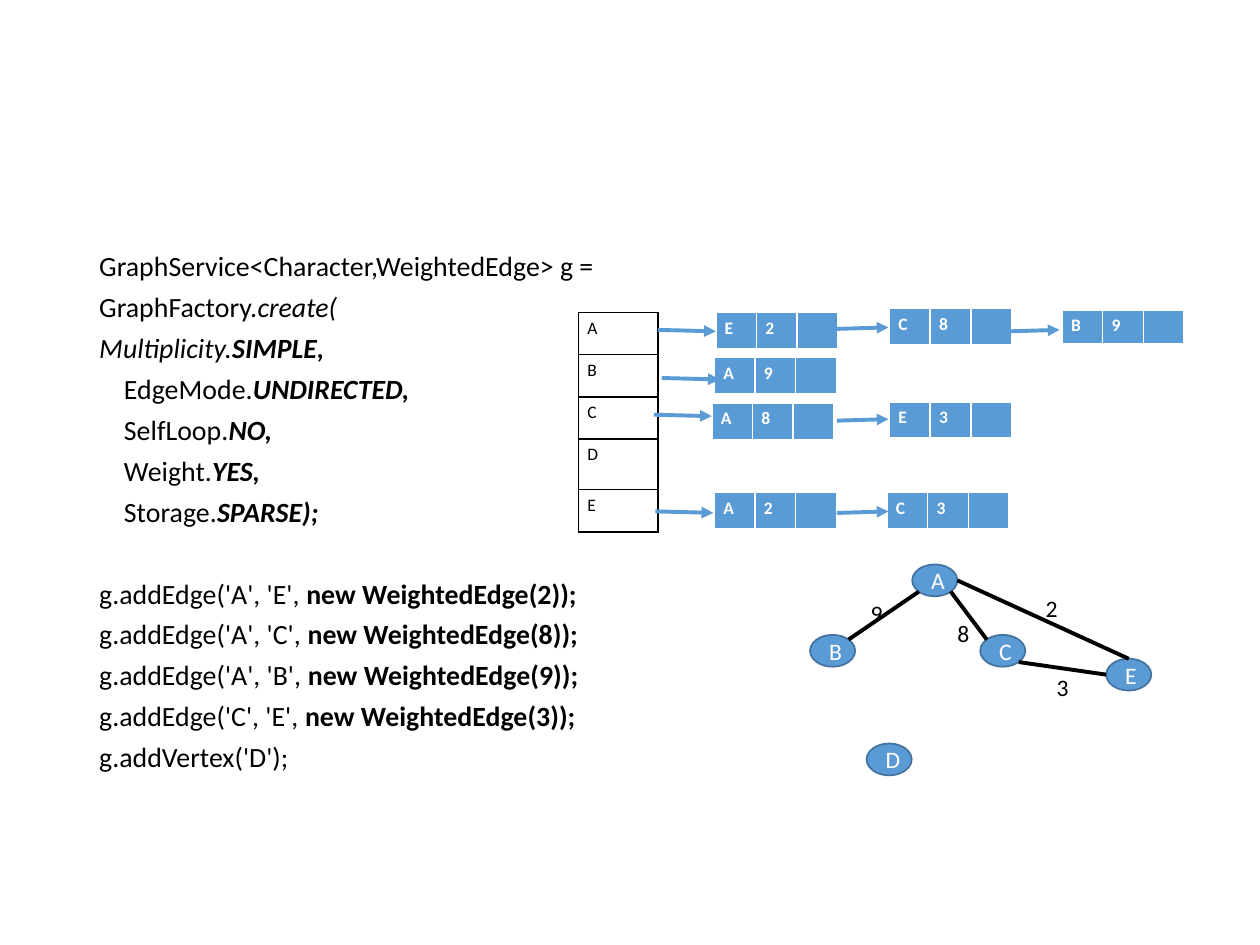
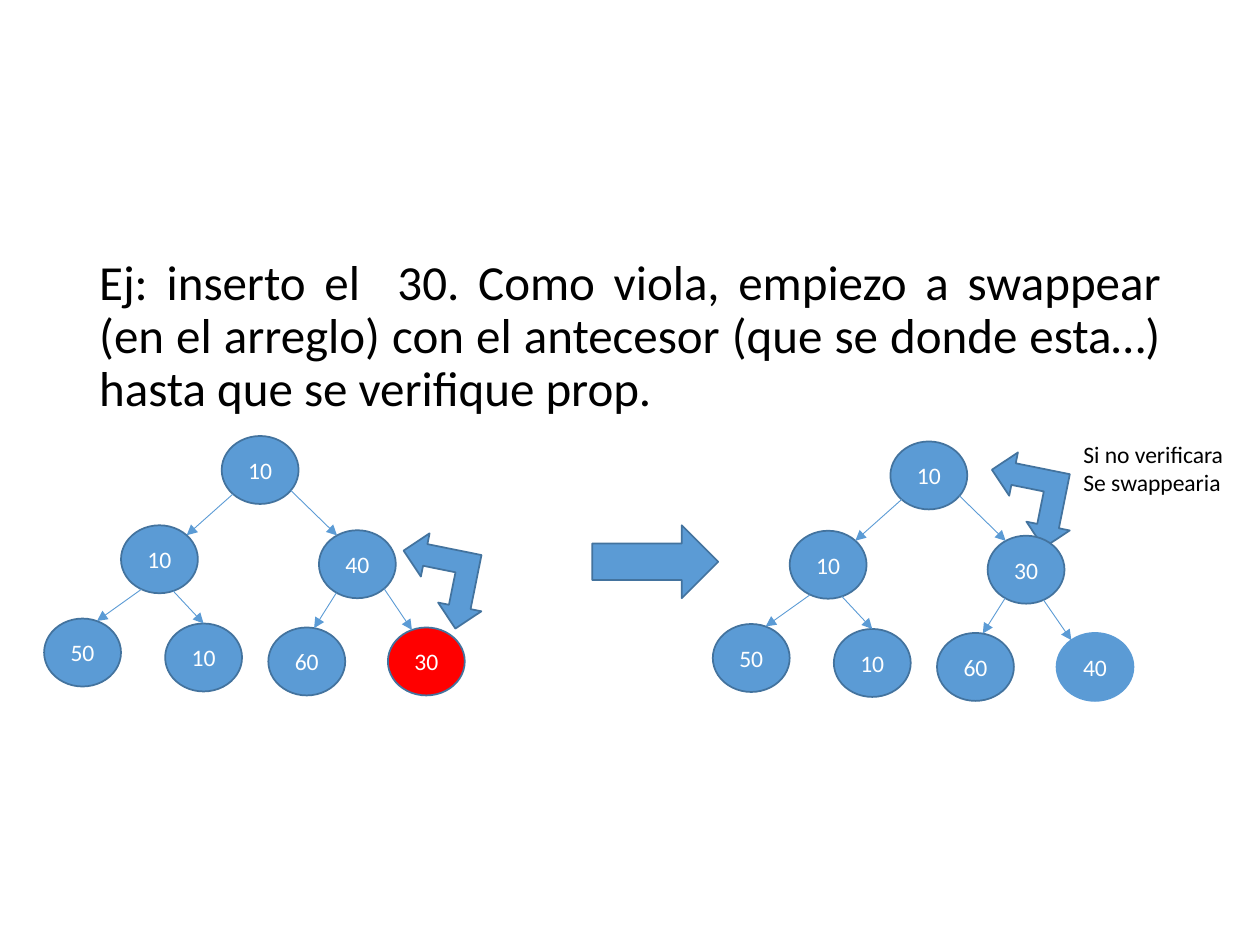
from collections import namedtuple
from math import cos, radians, sin

from lxml import etree
from pptx import Presentation
from pptx.dml.color import RGBColor
from pptx.enum.shapes import MSO_CONNECTOR, MSO_SHAPE
from pptx.enum.text import MSO_ANCHOR, MSO_AUTO_SIZE, PP_ALIGN
from pptx.oxml.ns import qn
from pptx.util import Cm, Pt

STRAIGHT = MSO_CONNECTOR.STRAIGHT
ELLIPSE = MSO_SHAPE.OVAL
RIGHT_ARROW = MSO_SHAPE.RIGHT_ARROW
SWAP_ARROW = MSO_SHAPE.LEFT_UP_ARROW
TOP, MIDDLE = MSO_ANCHOR.TOP, MSO_ANCHOR.MIDDLE
CENTER, JUSTIFY = PP_ALIGN.CENTER, PP_ALIGN.JUSTIFY
GROW, FIXED = MSO_AUTO_SIZE.SHAPE_TO_FIT_TEXT, MSO_AUTO_SIZE.NONE

COLORS = {"blue": "5B9BD5", "outline": "43739E", "red": "FF0000",
          "black": "000000", "white": "FFFFFF"}
FONT = "Calibri"
LABEL_SIZE = 13.5
CELL_SIZE = 10

Box = namedtuple("Box", "left top width height")
BODY = Box(1.75, 5.08, 21.9, 12.09)

# Each line: indent, space before, then (text, bold, italic) spans
CODE = [
    (0, 10, [("GraphService<Character,WeightedEdge> g =", False, False)]),
    (0, 10, [("GraphFactory.", False, False), ("create(", False, True)]),
    (0, 10, [("Multiplicity.", False, True), ("SIMPLE,", True, True)]),
] + [
    (0.5, 10, [(option + ".", False, False), (value, True, True)])
    for option, value in [("EdgeMode", "UNDIRECTED,"), ("SelfLoop", "NO,"),
                          ("Weight", "YES,"), ("Storage", "SPARSE);")]
] + [
    (0, 33.5 if ends == "AE" else 10,
     [(f"g.addEdge('{ends[0]}', '{ends[1]}', ", False, False),
      (f"new WeightedEdge({weight}));", True, False)])
    for ends, weight in [("AE", 2), ("AC", 8), ("AB", 9), ("CE", 3)]
] + [(0, 10, [("g.addVertex('D');", False, False)])]

INDEX_ROWS = [("A", 0.85), ("B", 0.85), ("C", 0.85), ("D", 1.02), ("E", 0.85)]
# vertex, weight, left, top, height, then left and top of the arrow's start
LIST_NODES = [
    ("E", "2", 2.77, 0, 0.76, 1.6, 0.35),
    ("C", "8", 6.27, -0.08, 0.76, 5.21, 0.33),
    ("B", "9", 9.75, -0.05, 0.71, 8.66, 0.38),
    ("A", "9", 2.74, 0.91, 0.76, 1.68, 1.32),
    ("A", "8", 2.69, 1.83, 0.76, 1.52, 2.06),
    ("E", "3", 6.27, 1.8, 0.76, 5.21, 2.18),
    ("A", "2", 2.74, 3.63, 0.76, 1.55, 4.01),
    ("C", "3", 6.22, 3.63, 0.76, 5.21, 4.04),
]

VERTICES = {"A": (2.06, 0), "C": (3.43, 1.42), "E": (5.97, 1.9),
            "B": (0, 1.42), "D": (1.14, 3.61)}
# Ends, clockwise angles on their rims, weight, label place
EDGES = [("B", 315, "A", 135, "9", 0.97, 0.56),
         ("A", 45, "C", 225, "8", 2.72, 0.97),
         ("C", 45, "E", 180, "3", 4.72, 2.06),
         ("A", 0, "E", 270, "2", 4.5, 0.46)]

# Heap nodes by array index; the children of i are 2i + 1 and 2i + 2
HEAP_PLACES = [(3.58, 0), (1.55, 1.8), (5.54, 1.9), (0, 3.68),
               (2.44, 3.78), (4.52, 3.86), (6.93, 3.86)]
HEAP_ANGLES = [(135, 315), (37, 238), (118, 292), (69, 270), (123, 281)]


def color(name):
    return RGBColor.from_string(COLORS[name])


def lengths(box):
    return [Cm(value) for value in box]


def format_font(font, color_name, **values):
    for name, value in {"name": FONT, **values}.items():
        setattr(font, name, value)
    font.color.rgb = color(color_name)


def add_span(para, text, color_name, size, bold=False, italic=False):
    span = para.add_run()
    span.text = text
    format_font(span.font, color_name, size=Pt(size), bold=bold, italic=italic)


def add_text_box(page, box, wrap=True):
    frame = page.shapes.add_textbox(*lengths(box)).text_frame
    values = {"word_wrap": wrap, "auto_size": FIXED if wrap else GROW,
              "vertical_anchor": TOP}
    for name, value in values.items():
        setattr(frame, name, value)
    return frame


def add_label(page, box, lines):
    frame = add_text_box(page, box, wrap=False)
    for number, line in enumerate(lines):
        para = frame.add_paragraph() if number else frame.paragraphs[0]
        add_span(para, line, "black", LABEL_SIZE)


def add_figure(page, kind, box, text="", fill="blue", line="outline"):
    shape = page.shapes.add_shape(kind, *lengths(box))
    shape.shadow.inherit = False
    shape.fill.solid()
    shape.fill.fore_color.rgb = color(fill)
    shape.line.color.rgb = color(line)
    shape.line.width = Pt(1)
    if text:
        shape.text_frame.vertical_anchor = MIDDLE
        para = shape.text_frame.paragraphs[0]
        para.alignment = CENTER
        add_span(para, text, "white", LABEL_SIZE)
    return shape


def add_line(page, start, end, color_name, width, arrow=False):
    link = page.shapes.add_connector(STRAIGHT, *lengths((*start, *end)))
    link.line.color.rgb = color(color_name)
    link.line.width = Pt(width)
    if arrow:
        line = link.line._get_or_add_ln()
        etree.SubElement(line, qn("a:tailEnd"), type="triangle")
    etree.SubElement(link._element.spPr, qn("a:effectLst"))


def rim(box, angle):
    """Return the point of the ellipse at a clockwise angle from the right."""
    turn = radians(angle)
    return (box.left + box.width / 2 * (1 + cos(turn)),
            box.top + box.height / 2 * (1 + sin(turn)))


def format_cell(cell, text, text_color, fill, border, bottom_width, bold):
    margins = {"margin_left": 0.18, "margin_right": 0.18,
               "margin_top": 0.1, "margin_bottom": 0.1}
    for name, value in margins.items():
        setattr(cell, name, Cm(value))
    properties = cell._tc.get_or_add_tcPr()
    for side, width in [("L", 1), ("R", 1), ("T", 1), ("B", bottom_width)]:
        line = etree.SubElement(properties, qn("a:ln" + side), w=str(Pt(width)))
        paint = etree.SubElement(line, qn("a:solidFill"))
        etree.SubElement(paint, qn("a:srgbClr"), val=COLORS[border])
    if fill:
        cell.fill.solid()
        cell.fill.fore_color.rgb = color(fill)
    else:
        cell.fill.background()
    para = cell.text_frame.paragraphs[0]
    if text:
        add_span(para, text, text_color, CELL_SIZE, bold)
    else:
        etree.SubElement(para._p, qn("a:endParaRPr"), sz=str(CELL_SIZE * 100))


def add_grid(page, box, rows, heights, **cell_format):
    columns = len(rows[0])
    table = page.shapes.add_table(len(rows), columns, *lengths(box)).table
    table.first_row = table.horz_banding = False
    for column in table.columns:
        column.width = Cm(box.width / columns)
    for row, texts, height in zip(table.rows, rows, heights):
        row.height = Cm(height)
        for cell, text in zip(row.cells, texts):
            format_cell(cell, text, **cell_format)


def add_code(page, box):
    frame = add_text_box(page, box)
    for number, (indent, space, spans) in enumerate(CODE):
        para = frame.add_paragraph() if number else frame.paragraphs[0]
        para.line_spacing = 0.7
        para.space_before = Pt(space)
        if indent:
            para._p.get_or_add_pPr().set("marL", str(Cm(indent)))
        for text, bold, italic in spans:
            add_span(para, text, "black", 15.9, bold, italic)


def add_adjacency_lists(page, box):
    add_grid(page, box, [[vertex] for vertex, _ in INDEX_ROWS],
             [height for _, height in INDEX_ROWS], text_color="black",
             fill=None, border="black", bottom_width=1, bold=False)
    for vertex, weight, left, top, height, *_ in LIST_NODES:
        node = Box(box.left + left, box.top + top, 2.46, height)
        add_grid(page, node, [[vertex, weight, ""]], [height],
                 text_color="white", fill="blue", border="white",
                 bottom_width=3, bold=True)
    for *_, left, top in LIST_NODES:
        reach, drop = (1.17, 0.03) if left < 2 else (1.04, -0.03)
        x, y = box.left + left, box.top + top
        add_line(page, (x, y), (x + reach, y + drop), "blue", 2.25, arrow=True)


def add_weighted_graph(page, box):
    vertices = {name: Box(box.left + left, box.top + top, 0.91, 0.64)
                for name, (left, top) in VERTICES.items()}
    for name, vertex in vertices.items():
        add_figure(page, ELLIPSE, vertex, name)
    for first, leave, second, arrive, weight, left, top in EDGES:
        add_line(page, rim(vertices[first], leave),
                 rim(vertices[second], arrive), "black", 2.25)
        label = Box(box.left + left, box.top + top, 0.76, 0.84)
        add_label(page, label, [weight])


def add_heap(page, box, keys, swap_place, last_angles, last_style):
    left, top = swap_place
    swap = add_figure(page, SWAP_ARROW,
                      Box(box.left + left, box.top + top, 1.78, 1.78))
    swap.rotation = 281.4
    nodes = [Box(box.left + x, box.top + y, 1.55, 1.37) for x, y in HEAP_PLACES]
    for number, (node, key) in enumerate(zip(nodes, keys)):
        style = last_style if number == len(nodes) - 1 else {}
        add_figure(page, ELLIPSE, node, key, **style)
    angles = HEAP_ANGLES + [last_angles]
    # The angles list the second pair of leaves as 5, 4 swapped with 3, 4 order
    children = [1, 2, 3, 4, 5, 6]
    for child, (leave, arrive) in zip(children, angles):
        add_line(page, rim(nodes[(child - 1) // 2], leave),
                 rim(nodes[child], arrive), "blue", 0.5, arrow=True)


def build_graph_page(page):
    add_code(page, BODY)
    add_weighted_graph(page, Box(16.33, 11.38, 6.88, 4.25))
    add_adjacency_lists(page, Box(11.66, 6.3, 1.6, 4.42))


def build_heap_page(page):
    para = add_text_box(page, BODY).paragraphs[0]
    values = {"alignment": JUSTIFY, "line_spacing": 0.9, "space_before": Pt(10)}
    for name, value in values.items():
        setattr(para, name, value)
    add_span(para, "Ej: inserto el  30. Como viola, empiezo a swappear (en el "
             "arreglo) con el antecesor (que se donde esta…) hasta que se "
             "verifique prop.", "black", 28)
    add_heap(page, Box(0.89, 8.79, 8.48, 5.23),
             ["10", "10", "40", "50", "10", "60", "30"],
             (7.14, 2.03), (46, 248), {"fill": "red"})
    add_figure(page, RIGHT_ARROW, Box(11.94, 10.59, 2.54, 1.47))
    add_heap(page, Box(14.37, 8.9, 8.48, 5.23),
             ["10", "10", "30", "50", "10", "60", "40"],
             (5.52, 0.29), (63, 232), {"line": "blue"})
    add_label(page, Box(21.59, 8.74, 3.43, 1.98),
              ["Si no verificara", "Se swappearia"])


def main():
    deck = Presentation()
    deck.slide_width, deck.slide_height = Cm(25.4), Cm(19.05)
    blank = deck.slide_layouts[6]
    for build in (build_graph_page, build_heap_page):
        build(deck.slides.add_slide(blank))
    deck.save("out.pptx")


if __name__ == "__main__":
    main()
